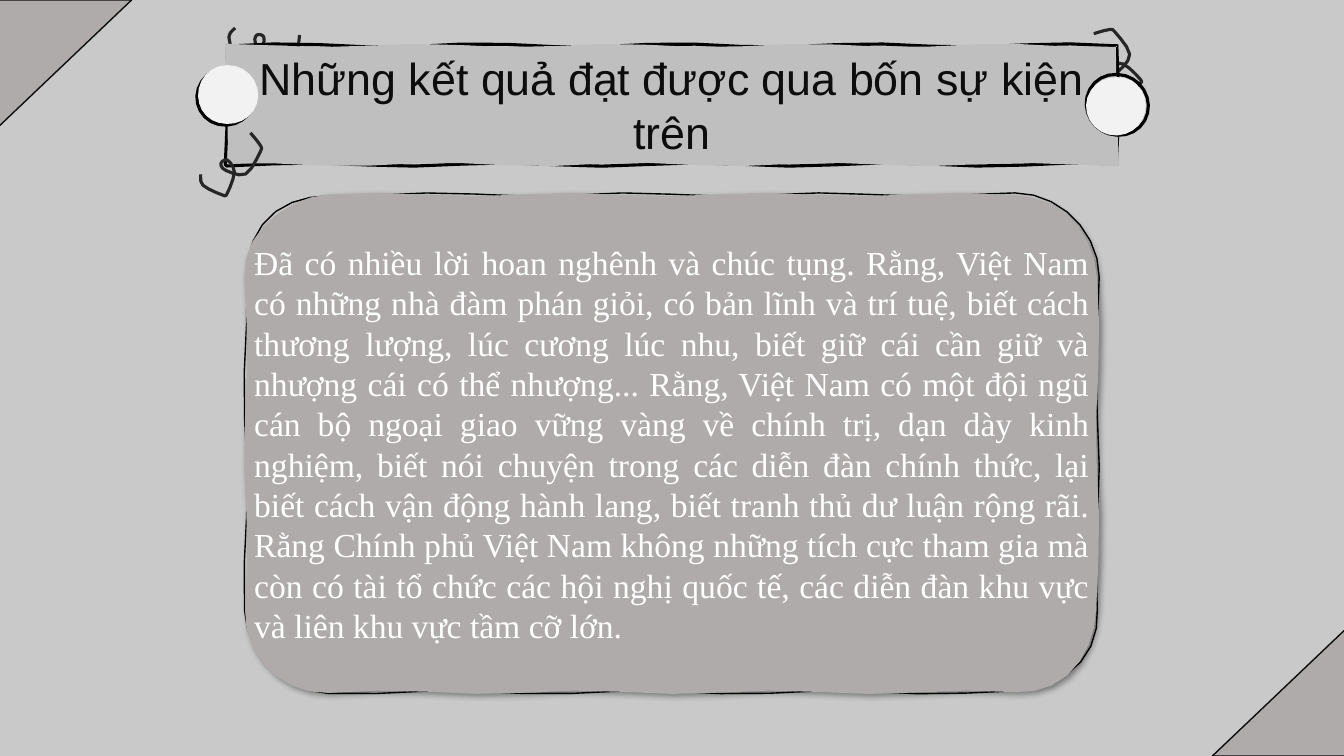
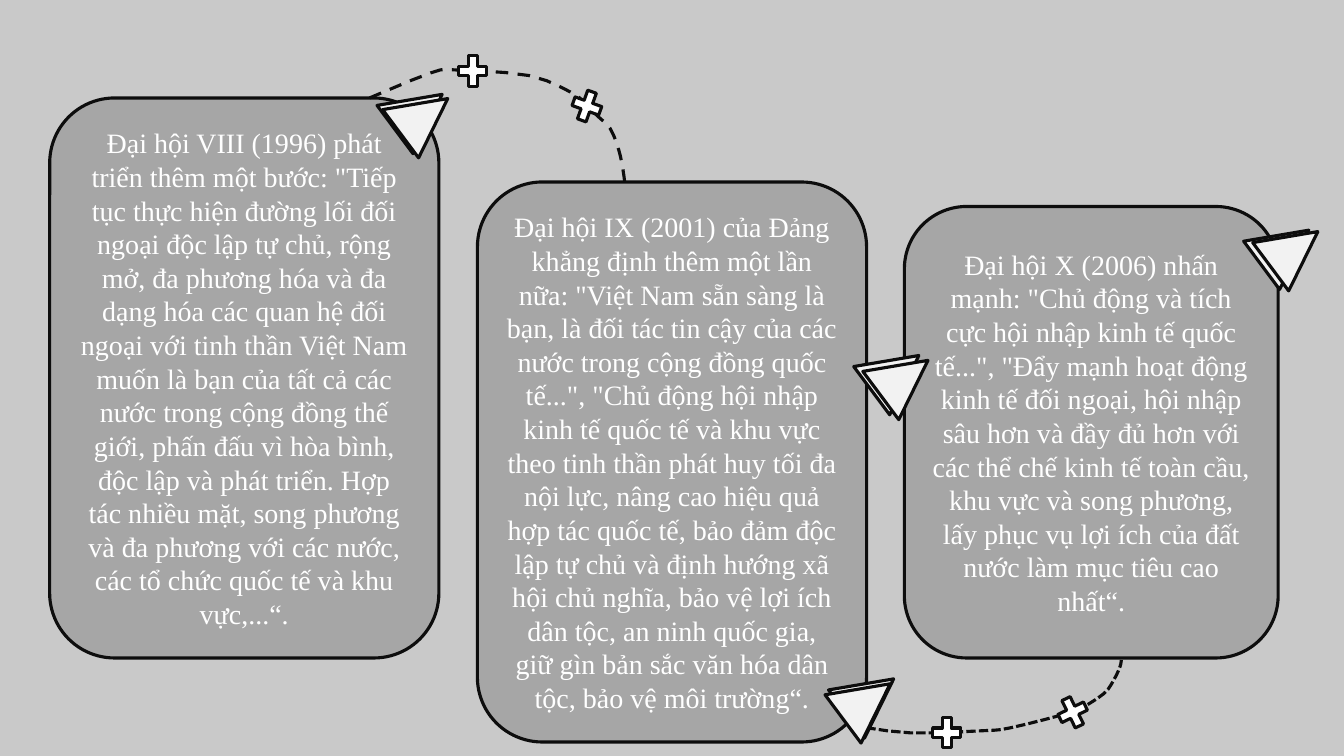
import math

from lxml import etree
from pptx import Presentation
from pptx import util as u
from pptx.dml.color import RGBColor
from pptx.enum import dml, shapes, text
from pptx.oxml.ns import qn

SLIDE_W, SLIDE_H = 960, 540
TITLE_ONLY, BLANK = 5, 6
COLORS = {
    "background": "C9C9C9", "ink": "0D0D0D", "curl": "262626",
    "outline": "000000", "band": "BFBFBF", "panel": "AFABAB",
    "card": "A6A6A6", "pale": "F2F2F2", "white": "FFFFFF",
}

TITLE = "Những kết quả đạt được qua bốn sự kiện trên"
RESULTS = (
    "Đã có nhiều lời hoan nghênh và chúc tụng. Rằng, Việt Nam có những nhà đàm phán giỏi, "
    "có bản lĩnh và trí tuệ, biết cách thương lượng, lúc cương lúc nhu, biết giữ cái cần giữ "
    "và nhượng cái có thể nhượng... Rằng, Việt Nam có một đội ngũ cán bộ ngoại giao vững vàng "
    "về chính trị, dạn dày kinh nghiệm, biết nói chuyện trong các diễn đàn chính thức, lại "
    "biết cách vận động hành lang, biết tranh thủ dư luận rộng rãi. Rằng Chính phủ Việt Nam "
    "không những tích cực tham gia mà còn có tài tổ chức các hội nghị quốc tế, các diễn đàn "
    "khu vực và liên khu vực tầm cỡ lớn.")
CONGRESS_8 = (
    "Đại hội VIII (1996) phát triển thêm một bước: \"Tiếp tục thực hiện đường lối đối ngoại "
    "độc lập tự chủ, rộng mở, đa phương hóa và đa dạng hóa các quan hệ đối ngoại với tinh thần "
    "Việt Nam muốn là bạn của tất cả các nước trong cộng đồng thế giới, phấn đấu vì hòa bình, "
    "độc lập và phát triển. Hợp tác nhiều mặt, song phương và đa phương với các nước, các tổ "
    "chức quốc tế và khu vực,...“.")
CONGRESS_9 = (
    "Đại hội IX (2001) của Đảng khẳng định thêm một lần nữa: \"Việt Nam sẵn sàng là bạn, là "
    "đối tác tin cậy của các nước trong cộng đồng quốc tế...\", \"Chủ động hội nhập kinh tế "
    "quốc tế và khu vực theo tinh thần phát huy tối đa nội lực, nâng cao hiệu quả hợp tác quốc "
    "tế, bảo đảm độc lập tự chủ và định hướng xã hội chủ nghĩa, bảo vệ lợi ích dân tộc, an "
    "ninh quốc gia, giữ gìn bản sắc văn hóa dân tộc, bảo vệ môi trường“.")
CONGRESS_10 = (
    "Đại hội X (2006) nhấn mạnh: \"Chủ động và tích cực hội nhập kinh tế quốc tế...\", \"Đẩy "
    "mạnh hoạt động kinh tế đối ngoại, hội nhập sâu hơn và đầy đủ hơn với các thể chế kinh tế "
    "toàn cầu, khu vực và song phương, lấy phục vụ lợi ích của đất nước làm mục tiêu cao nhất“.")

# Curves, given as the points they pass through
CURL = [(4.5, 0), (0, 6.5), (4.5, 21), (8, 23), (22.5, 16), (25, 6.5),
        (20, 5), (19, 11), (27, 23), (45.5, 19.5), (49, 16), (50.5, 5)]
UPPER_ARC = [(0, 20), (44, 2), (62, 0), (114, 4), (144, 16), (152, 22),
             (163, 33), (172, 42), (178, 57), (181, 71), (182.5, 82)]
LOWER_ARC = [(0, 47), (40, 52), (92, 50.5), (111.5, 48.5), (147.5, 39.5),
             (162, 34.5), (178.5, 24), (185.5, 14.5), (190, 5), (191, 0)]


def rgb(name):
    return RGBColor.from_string(COLORS[name])


def style(shape, fill=None, line=None, width=2.25, dash=None):
    shape.shadow.inherit = False
    if fill:
        shape.fill.solid()
        shape.fill.fore_color.rgb = rgb(fill)
    else:
        shape.fill.background()
    if line:
        shape.line.color.rgb = rgb(line)
        shape.line.width = u.Pt(width)
        if dash:
            shape.line.dash_style = dash
    else:
        shape.line.fill.background()
    return shape


def write(frame, words, font="Times New Roman", size=20, color="white",
          align=text.PP_ALIGN.CENTER, anchor=text.MSO_ANCHOR.MIDDLE):
    frame.word_wrap = True
    frame.auto_size = text.MSO_AUTO_SIZE.NONE
    frame.vertical_anchor = anchor
    paragraph = frame.paragraphs[0]
    paragraph.alignment = align
    paragraph.line_spacing = 1.0
    run = paragraph.add_run()
    run.text = words
    run.font.name = font
    run.font.size = u.Pt(size)
    run.font.color.rgb = rgb(color)


def preset(slide, kind, box, rotation=0, **look):
    shape = slide.shapes.add_shape(kind, *map(u.Pt, box))
    shape.rotation = rotation
    return style(shape, **look)


def freeform(slide, points, closed=False, **look):
    emu = [(u.Pt(x), u.Pt(y)) for x, y in points]
    builder = slide.shapes.build_freeform(*emu[0])
    builder.add_line_segments(emu[1:], close=closed)
    return style(builder.convert_to_shape(), **look)


def smooth(points, steps=3):
    """Return a Catmull-Rom curve through the points."""
    padded = [points[0], *points, points[-1]]
    curve_points = [points[0]]
    for a, b, c, d in zip(padded, padded[1:], padded[2:], padded[3:]):
        for step in range(1, steps + 1):
            t = step / steps
            curve_points.append(tuple(
                q + t / 2 * (r - p + t * (2 * p - 5 * q + 4 * r - s
                                          + t * (3 * (q - r) + s - p)))
                for p, q, r, s in zip(a, b, c, d)))
    return curve_points


def curve(slide, left, top, points, rotation=0, **look):
    placed = [(left + x, top + y) for x, y in smooth(points)]
    freeform(slide, placed, **look).rotation = rotation


def wavy_edge(box, radius, phase, wobble=1.2, wave=22, spacing=34):
    """Return a rounded rectangle whose edge swings gently in and out."""
    left, top, width, height = box
    x0, x1 = left + radius, left + width - radius
    y0, y1 = top + radius, top + height - radius
    centres = [(x1, y0), (x1, y1), (x0, y1), (x0, y0)]
    bends = min(7, 1 + round(radius / 4))
    track = []
    for i, (cx, cy) in enumerate(centres):
        nx, ny = centres[(i + 1) % 4]
        parts = max(1, round(math.dist((cx, cy), (nx, ny)) / spacing))
        track += [(cx, cy, 90 * (i - 1 + k / bends)) for k in range(bends + 1)]
        track += [(cx + (nx - cx) * k / parts, cy + (ny - cy) * k / parts, 90 * i)
                  for k in range(1, parts)]
    points = []
    for x, y, degrees in track:
        dx, dy = math.cos(math.radians(degrees)), math.sin(math.radians(degrees))
        reach = radius + wobble * math.sin((x - y + radius * (dx - dy)) / wave + phase)
        points.append((x + reach * dx, y + reach * dy))
    return points


def sketched(slide, box, radius, fill, width=2.25):
    """Draw a hand-drawn outline and a fill that partly covers it."""
    freeform(slide, wavy_edge(box, radius, 0), closed=True, line="outline", width=width)
    return freeform(slide, wavy_edge(box, radius, 2), closed=True, fill=fill)


def cast_shadow(shape):
    effects = shape._element.spPr.find(qn("a:effectLst"))
    shadow = etree.SubElement(effects, qn("a:outerShdw"), blurRad=str(u.Pt(4)),
                              dist=str(u.Pt(3)), dir="2700000", algn="tl", rotWithShape="0")
    color = etree.SubElement(shadow, qn("a:srgbClr"), val=COLORS["outline"])
    etree.SubElement(color, qn("a:alpha"), val="40000")


# Parts of the results slide
def corners(slide, width=188, height=89.5):
    for centre, top, rotation in ((0, 0, 180), (SLIDE_W, SLIDE_H - height, 0)):
        preset(slide, shapes.MSO_SHAPE.ISOSCELES_TRIANGLE,
               (centre - width / 2, top, width, height), rotation,
               fill="panel", line="ink", width=1)


def title_band(slide, box):
    left, top, width, height = box
    curve(slide, left + width - 26, top + 0.5, CURL, 247.4, line="curl")
    curve(slide, left + 1.5, top - 12.5, CURL, line="curl")
    sketched(slide, box, 0, "band")
    title = slide.shapes.title
    title.left, title.top, title.width, title.height = map(u.Pt, box)
    write(title.text_frame, TITLE, font="Arial", size=32, color="ink",
          anchor=text.MSO_ANCHOR.TOP)
    slide.shapes._spTree.append(title._element)  # bring in front of the band
    for centre, drop in ((left, 15), (left + width, 21.5)):
        sketched(slide, (centre - 21.5, top + drop, 43, 42), 21, "pale")
    curve(slide, left - 21, top + 73.5, CURL, 313.9, line="curl")


def results_panel(slide, box):
    panel = sketched(slide, box, 59, "panel", width=1)
    cast_shadow(panel)
    write(panel.text_frame, RESULTS, size=24, align=text.PP_ALIGN.JUSTIFY)


def results_slide(prs):
    slide = prs.slides.add_slide(prs.slide_layouts[TITLE_ONLY])
    corners(slide)
    title_band(slide, (162, 32.5, 636, 85))
    results_panel(slide, (175.5, 139, 608.5, 355.5))


# Parts of the congress slide
def congress_card(slide, box, words):
    card = preset(slide, shapes.MSO_SHAPE.ROUNDED_RECTANGLE, box, fill="card", line="ink")
    write(card.text_frame, words)


def pointer(slide, left, top, shift):
    """Draw two stacked triangles, the front one shifted."""
    for dx, dy in ((0, 0), shift):
        preset(slide, shapes.MSO_SHAPE.ISOSCELES_TRIANGLE,
               (left + dx, top + dy, 43, 42), 53.3, fill="pale", line="ink")


def dashed_path(slide, left, top, points, dash, pluses):
    curve(slide, left, top, points, line="ink", dash=dash)
    for dx, dy, rotation in pluses:
        preset(slide, shapes.MSO_SHAPE.MATH_PLUS, (left + dx, top + dy, 27.5, 29.5),
               rotation, fill="white", line="ink")


def congress_slide(prs):
    slide = prs.slides.add_slide(prs.slide_layouts[BLANK])
    # Each card: box, words, pointers (offset from the card, shift of the front triangle)
    cards = [
        ((35.5, 70, 278, 400), CONGRESS_8, [(242, -11, (4, 3))]),
        ((341, 130, 278, 400), CONGRESS_9, [(277, 115.5, (6.5, 3.5)), (259, 346.5, (-2.5, 3.5))]),
        ((646, 147.5, 267, 322.5), CONGRESS_10, [(250.5, 8.5, (6.5, 1))]),
    ]
    for box, words, _ in cards:
        congress_card(slide, box, words)
    dashed_path(slide, 264, 50, UPPER_ARC, dml.MSO_LINE.DASH,
                [(60, -14, 0), (141.5, 11, 19.9)])
    dashed_path(slide, 610, 471.5, LOWER_ARC, dml.MSO_LINE.SQUARE_DOT,
                [(142.5, 22.5, 333.9), (52.5, 37, 0)])
    for (left, top, _, _), _, pointers in cards:
        for dx, dy, shift in pointers:
            pointer(slide, left + dx, top + dy, shift)


def main():
    prs = Presentation()
    prs.slide_width, prs.slide_height = u.Pt(SLIDE_W), u.Pt(SLIDE_H)
    backdrop = prs.slide_master.background.fill
    backdrop.solid()
    backdrop.fore_color.rgb = rgb("background")
    results_slide(prs)
    congress_slide(prs)
    prs.save("out.pptx")


if __name__ == "__main__":
    main()
